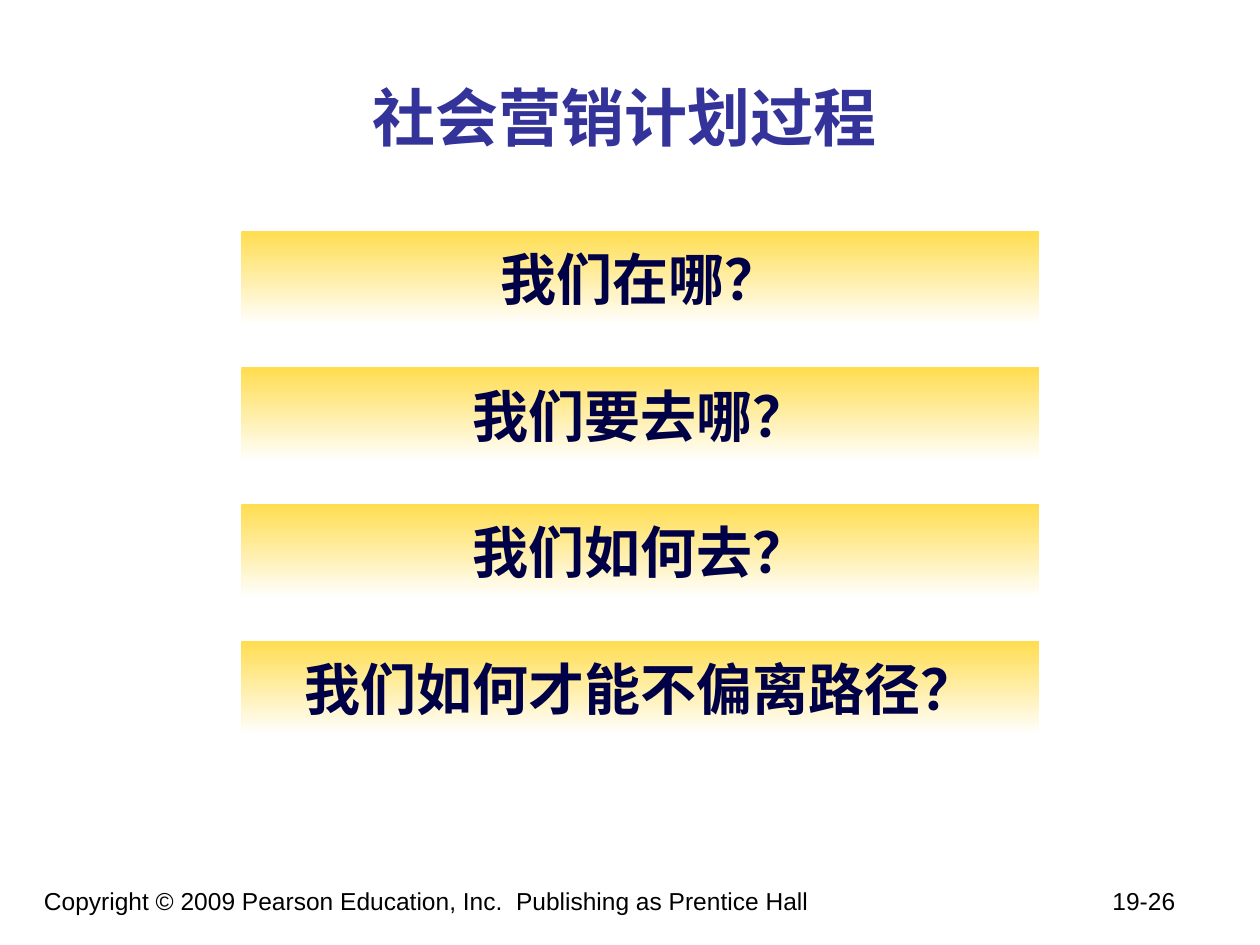
from dataclasses import dataclass

from lxml.etree import SubElement
from pptx import Presentation
from pptx.dml.color import RGBColor
from pptx.enum.shapes import MSO_SHAPE
from pptx.enum.text import MSO_ANCHOR, PP_ALIGN
from pptx.oxml.ns import qn
from pptx.util import Pt


@dataclass(frozen=True)
class Theme:
    latin_font: str = "Arial"
    chinese_font: str = "Noto Sans CJK SC"
    title_color: RGBColor = RGBColor(0x33, 0x33, 0x99)
    question_color: RGBColor = RGBColor(0x00, 0x00, 0x46)
    footer_color: RGBColor = RGBColor(0x00, 0x00, 0x00)
    bar_top: RGBColor = RGBColor(0xFF, 0xDD, 0x4F)
    bar_bottom: RGBColor = RGBColor(0xFF, 0xFF, 0xFF)
    title_size: Pt = Pt(36)
    question_size: Pt = Pt(32)
    footer_size: Pt = Pt(14)


THEME = Theme()
QUESTIONS = ["我们在哪？", "我们要去哪？", "我们如何去？", "我们如何才能不偏离路径？"]
BAR_TOP, BAR_PITCH = 132, 78


def format_paragraph(paragraph, font_name, size, color, bold=False):
    font = paragraph.font
    font.name, font.size, font.bold = font_name, size, bold
    font.color.rgb = color
    properties = paragraph._p.get_or_add_pPr().find(qn("a:defRPr"))
    SubElement(properties, qn("a:ea"), typeface=THEME.chinese_font)


def add_title(slide, text):
    title = slide.shapes.title
    title.left, title.top, title.width, title.height = Pt(24), Pt(21.6), Pt(666), Pt(90)
    title.text_frame.text = text
    title.text_frame.vertical_anchor = MSO_ANCHOR.MIDDLE
    paragraph = title.text_frame.paragraphs[0]
    paragraph.alignment = PP_ALIGN.CENTER
    format_paragraph(paragraph, THEME.chinese_font, THEME.title_size, THEME.title_color, True)


def add_question_bar(slide, top, text):
    bar = slide.shapes.add_shape(MSO_SHAPE.RECTANGLE, Pt(138), Pt(top), Pt(456), Pt(54))
    bar.shadow.inherit = False
    bar.line.fill.background()
    bar.fill.gradient()
    bar.fill.gradient_angle = 270
    for stop, color in zip(bar.fill.gradient_stops, (THEME.bar_top, THEME.bar_bottom)):
        stop.color.rgb = color
    frame = bar.text_frame
    frame.text = text
    frame.word_wrap = False
    frame.vertical_anchor = MSO_ANCHOR.MIDDLE
    paragraph = frame.paragraphs[0]
    paragraph.alignment = PP_ALIGN.CENTER
    format_paragraph(paragraph, THEME.latin_font, THEME.question_size, THEME.question_color, True)


def add_footer(slide, copyright_line, page_number):
    footer = slide.shapes.add_textbox(Pt(18), Pt(502.5), Pt(672), Pt(37.5))
    footer.text_frame.word_wrap = True
    paragraph = footer.text_frame.paragraphs[0]
    paragraph.add_run().text = f"{copyright_line}\t{page_number}"
    tabs = SubElement(paragraph._p.get_or_add_pPr(), qn("a:tabLst"))
    SubElement(tabs, qn("a:tab"), pos=str(Pt(646.5)), algn="r")
    format_paragraph(paragraph, THEME.latin_font, THEME.footer_size, THEME.footer_color)


def main():
    presentation = Presentation()
    presentation.slide_width, presentation.slide_height = Pt(720), Pt(540)
    slide = presentation.slides.add_slide(presentation.slide_layouts[5])
    add_footer(slide, "Copyright © 2009 Pearson Education, Inc.  Publishing as Prentice Hall", "19-26")
    add_title(slide, "社会营销计划过程")
    for index, question in enumerate(QUESTIONS):
        add_question_bar(slide, BAR_TOP + index * BAR_PITCH, question)
    presentation.save("out.pptx")


if __name__ == "__main__":
    main()
